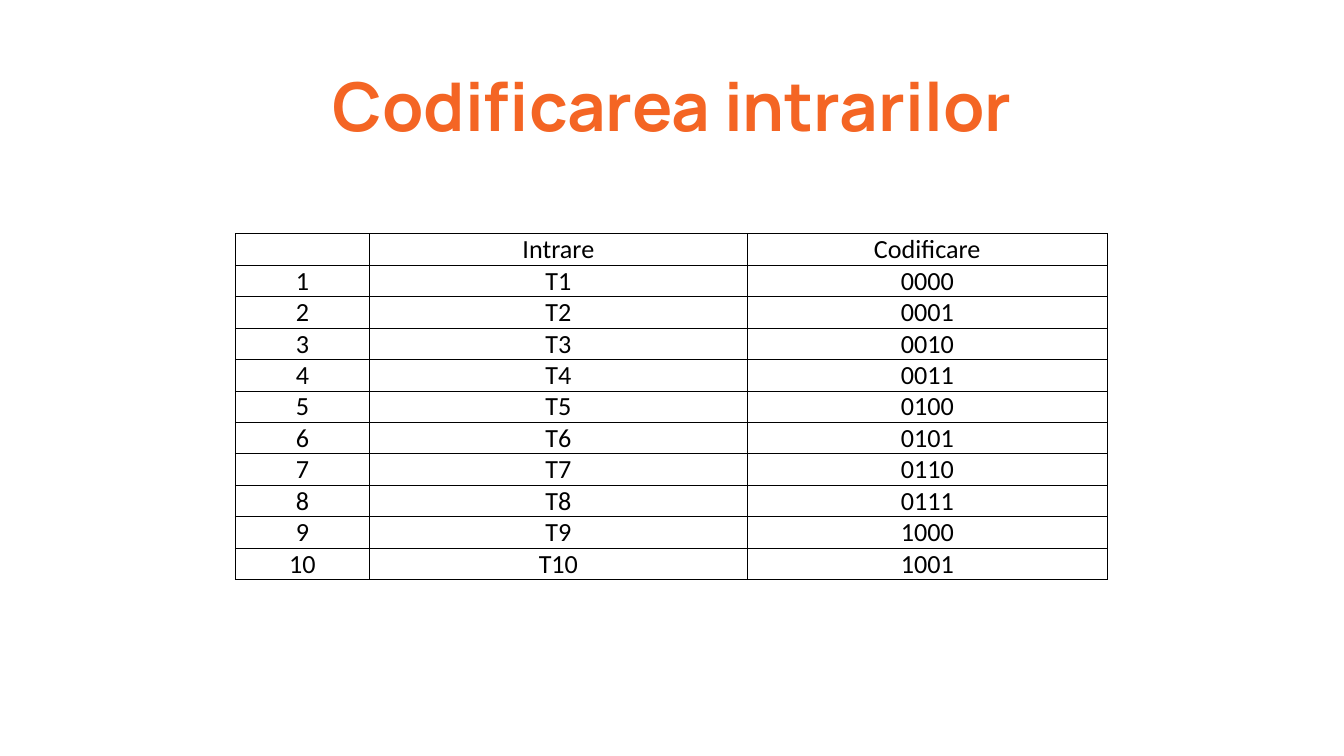
import pptx
import pptx.dml.color
import pptx.enum.text
import pptx.oxml
import pptx.oxml.ns
import pptx.util

WIDTH = 10
HEIGHT = WIDTH * 9 / 16
BLACK, ORANGE = "000000", "F46524"
COLUMNS = [1, 2.81, 2.68]
TABLE_HEIGHT = 2.57
HEADER = ["", "Intrare", "Codificare"]
INPUT_COUNT = 10


def inches(value):
    return pptx.util.Inches(value)


def color(value):
    return pptx.dml.color.RGBColor.from_string(value)


def set_margins(item, horizontal, vertical):
    item.margin_left = item.margin_right = inches(horizontal)
    item.margin_top = item.margin_bottom = inches(vertical)


def add_run(p, text, font, size, fill, bold=False):
    p.alignment = pptx.enum.text.PP_ALIGN.CENTER
    r = p.add_run()
    r.text = text
    r.font.name = font
    r.font.size = pptx.util.Pt(size)
    r.font.bold = bold
    r.font.color.rgb = color(fill)


def add_title(s, text):
    width = 6.52
    sp = s.shapes.add_textbox(inches((WIDTH - width) / 2), inches(0.07 * HEIGHT),
                              inches(width), inches(0.15 * HEIGHT))
    tf = sp.text_frame
    tf.word_wrap = True
    tf.vertical_anchor = pptx.enum.text.MSO_ANCHOR.MIDDLE
    set_margins(tf, 0.1, 0.1)
    p = tf.paragraphs[0]
    p.line_spacing = 0.9
    p.space_after = pptx.util.Pt(16)
    add_run(p, text, "Manrope", 36, ORANGE, True)


def add_borders(cell, fill, points):
    tc_pr = cell._tc.get_or_add_tcPr()
    for index, side in enumerate(("lnL", "lnR", "lnT", "lnB")):
        tc_pr.insert(index, pptx.oxml.parse_xml(
            f'<a:{side} {pptx.oxml.ns.nsdecls("a")} w="{pptx.util.Pt(points)}">'
            f'<a:solidFill><a:srgbClr val="{fill}"/></a:solidFill></a:{side}>'))


def fill_cell(cell, text):
    cell.fill.background()
    set_margins(cell, 0.07, 0)
    add_borders(cell, BLACK, 0.5)
    p = cell.text_frame.paragraphs[0]
    if text:
        add_run(p, text, "Calibri", 14, BLACK)
    else:
        p._p.append(pptx.oxml.parse_xml(
            f'<a:endParaRPr {pptx.oxml.ns.nsdecls("a")} sz="1400">'
            '<a:latin typeface="Calibri"/></a:endParaRPr>'))


def add_grid(s, rows):
    table = s.shapes.add_table(
        len(rows), len(COLUMNS), inches(1.75), inches(1.74),
        inches(sum(COLUMNS)), inches(TABLE_HEIGHT)).table
    table.first_row = table.horz_banding = False
    for column, column_width in zip(table.columns, COLUMNS):
        column.width = inches(column_width)
    for row, texts in zip(table.rows, rows):
        row.height = inches(TABLE_HEIGHT / len(rows))
        for cell, text in zip(row.cells, texts):
            fill_cell(cell, text)


def main():
    prs = pptx.Presentation()
    prs.slide_width, prs.slide_height = inches(WIDTH), inches(HEIGHT)
    s = prs.slides.add_slide(prs.slide_layouts[6])
    add_title(s, "Codificarea intrarilor")
    codes = [[str(n), f"T{n}", f"{n - 1:04b}"] for n in range(1, INPUT_COUNT + 1)]
    add_grid(s, [HEADER] + codes)
    prs.save("out.pptx")


if __name__ == "__main__":
    main()
